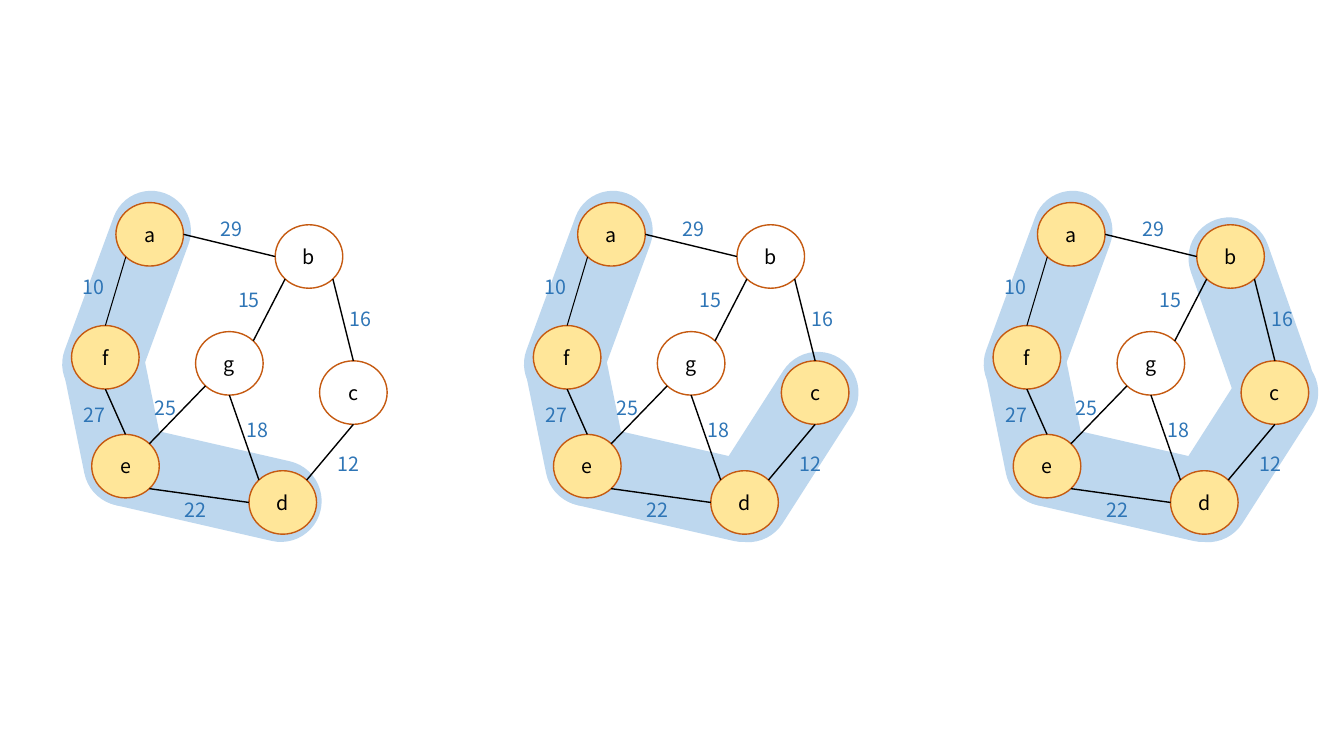
import math
from dataclasses import dataclass

import pptx
import pptx.dml.color
import pptx.enum.shapes
import pptx.enum.text
import pptx.oxml.ns
import pptx.util
from lxml import etree

Inches = pptx.util.Inches
Pt = pptx.util.Pt
RGB = pptx.dml.color.RGBColor.from_string
Kind = pptx.enum.shapes.MSO_SHAPE
Align = pptx.enum.text.PP_ALIGN
Anchor = pptx.enum.text.MSO_ANCHOR
Fit = pptx.enum.text.MSO_AUTO_SIZE


@dataclass(frozen=True)
class Theme:
    band: str = "BDD7EE"
    node: str = "FFE699"
    rim: str = "C55A11"
    ink: str = "000000"
    weight: str = "2E75B6"
    font: str = "Noto Sans CJK KR"
    size: float = 14
    line: float = 1
    thin: float = 0.75


THEME = Theme()
NODE_W, NODE_H = 0.67, 0.63
LABEL_W, LABEL_H = 0.54, 0.34

NODES = {
    "a": (1.15, 2.01),
    "f": (0.71, 3.23),
    "g": (1.94, 3.29),
    "b": (2.73, 2.23),
    "e": (0.91, 4.31),
    "d": (2.47, 4.67),
    "c": (3.17, 3.58),
}

ANGLES = {"E": 0, "SE": 45, "S": 90, "SW": 135, "W": 180, "NW": 225, "N": 270, "NE": 315}

EDGES = [
    ("f", "N", "a", "SW", "10", 0.66, 2.68, THEME.thin),
    ("a", "E", "b", "W", "29", 2.03, 2.10, THEME.line),
    ("g", "NE", "b", "SW", "15", 2.20, 2.81, THEME.line),
    ("c", "N", "b", "SE", "16", 3.31, 3.00, THEME.line),
    ("d", "NW", "g", "S", "18", 2.28, 4.10, THEME.line),
    ("d", "NE", "c", "S", "12", 3.19, 4.43, THEME.line),
    ("d", "W", "e", "SE", "22", 1.67, 4.89, THEME.line),
    ("e", "NE", "g", "SW", "25", 1.37, 3.88, THEME.line),
    ("e", "N", "f", "S", "27", 0.67, 3.95, THEME.line),
]

BANDS = {
    "bc": (2.86, 2.12, 0.81, 2.09, 340.6),
    "cd": (2.78, 3.39, 0.81, 2.09, 32.6),
    "de": (1.61, 3.60, 0.81, 2.39, 282.9),
    "ef": (0.73, 3.23, 0.81, 1.80, 348.5),
    "fa": (0.86, 1.85, 0.79, 2.20, 20.2),
}

STEPS = [(0, "afed"), (4.58, "afedc"), (9.14, "afedcb")]


def apply(item, values):
    for name, value in values.items():
        setattr(item, name, value)


def write(shape, text, color, frame):
    apply(shape.text_frame, frame)
    para = shape.text_frame.paragraphs[0]
    para.alignment = Align.CENTER
    run = para.add_run()
    run.text = text
    apply(run.font, {"name": THEME.font, "size": Pt(THEME.size)})
    run.font.color.rgb = RGB(color)


def add_band(slide, left, top, width, height, turn):
    box = map(Inches, (left, top, width, height))
    band = slide.shapes.add_shape(Kind.ROUNDED_RECTANGLE, *box)
    band.shadow.inherit = False
    band.adjustments[0] = 0.5
    band.rotation = turn
    band.fill.solid()
    band.fill.fore_color.rgb = RGB(THEME.band)
    band.line.fill.background()


def add_node(slide, name, left, top, done):
    box = map(Inches, (left, top, NODE_W, NODE_H))
    node = slide.shapes.add_shape(Kind.OVAL, *box)
    node.shadow.inherit = False
    if done:
        node.fill.solid()
        node.fill.fore_color.rgb = RGB(THEME.node)
    else:
        node.fill.background()
    node.line.color.rgb = RGB(THEME.rim)
    node.line.width = Pt(THEME.line)
    write(node, name, THEME.ink, {"vertical_anchor": Anchor.MIDDLE})


def find_rim(name, side, shift):
    left, top = NODES[name]
    angle = math.radians(ANGLES[side])
    x = shift + left + NODE_W / 2 * (1 + math.cos(angle))
    y = top + NODE_H / 2 * (1 + math.sin(angle))
    return Inches(x), Inches(y)


def add_edge(slide, start, end, width):
    kind = pptx.enum.shapes.MSO_CONNECTOR.STRAIGHT
    edge = slide.shapes.add_connector(kind, *start, *end)
    edge.line.color.rgb = RGB(THEME.ink)
    edge.line.width = Pt(width)
    props = edge._element.spPr
    etree.SubElement(props, pptx.oxml.ns.qn("a:effectLst"))


def add_label(slide, text, left, top):
    box = map(Inches, (left, top, LABEL_W, LABEL_H))
    label = slide.shapes.add_textbox(*box)
    write(label, text, THEME.weight,
          {"word_wrap": True, "auto_size": Fit.SHAPE_TO_FIT_TEXT})


def add_graph(slide, shift, done):
    for pair, (left, *rest) in BANDS.items():
        if set(pair) <= set(done):
            add_band(slide, shift + left, *rest)
    for name, (left, top) in NODES.items():
        add_node(slide, name, shift + left, top, name in done)
    for tail, out, head, into, text, left, top, width in EDGES:
        start = find_rim(tail, out, shift)
        end = find_rim(head, into, shift)
        add_edge(slide, start, end, width)
        add_label(slide, text, shift + left, top)


def main():
    deck = pptx.Presentation()
    apply(deck, {"slide_width": Inches(13.33), "slide_height": Inches(7.5)})
    slide = deck.slides.add_slide(deck.slide_layouts[6])
    for shift, done in STEPS:
        add_graph(slide, shift, done)
    deck.save("out.pptx")


if __name__ == "__main__":
    main()
